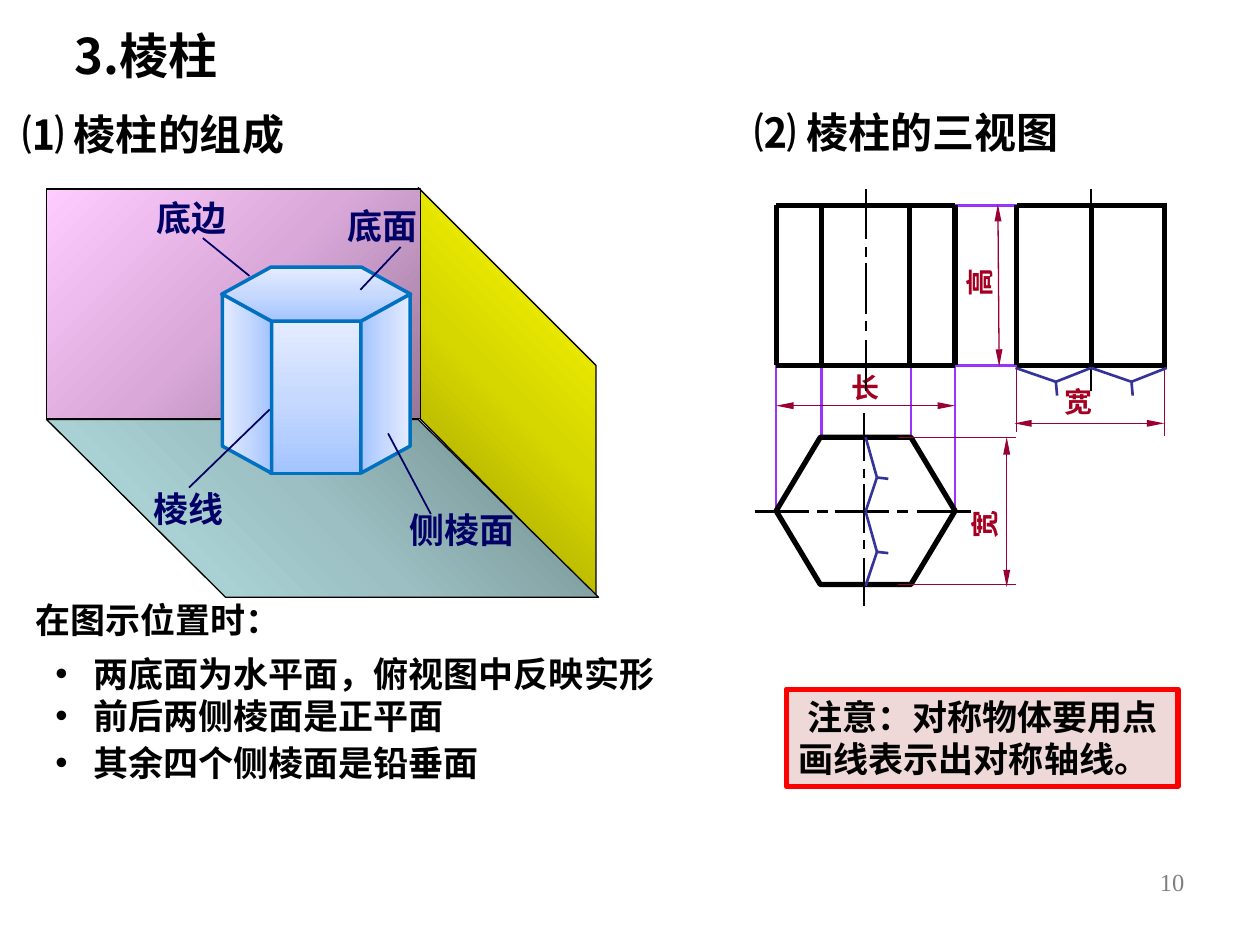
from copy import deepcopy
from dataclasses import dataclass

from lxml.etree import SubElement
from pptx import Presentation
from pptx.dml.color import RGBColor
from pptx.enum.shapes import MSO_CONNECTOR, MSO_SHAPE
from pptx.enum.text import MSO_ANCHOR, MSO_AUTO_SIZE, PP_ALIGN
from pptx.oxml.ns import qn
from pptx.util import Cm, Pt


@dataclass(frozen=True)
class Theme:
    font: str = "Noto Sans CJK SC"
    number_font: str = "Times New Roman"
    ink: str = "000000"
    label: str = "000066"
    edge: str = "0070C0"
    projection: str = "9933FF"
    dimension: str = "990033"
    dimension_text: str = "A50021"
    mark: str = "333399"
    grey: str = "808080"
    note_fill: str = "EED8D8"
    note_line: str = "FF0000"
    yellow: tuple = ("979700", "D7D700", "FFFF00")
    teal: tuple = ("6D8688", "9BBFC2", "B8E3E6")
    pink: tuple = ("997799", "DAA9DA", "FFCCFF")
    blue: tuple = ("A3C4FF", "C7D9FF", "E4ECFF")
    title_size: int = 28
    heading_size: int = 24
    body_size: int = 20
    dimension_size: int = 16
    number_size: int = 14
    thin: float = 0.75
    leader: float = 1
    axis: float = 1.2
    medium: float = 1.5
    solid: float = 2
    thick: float = 3


def inches(value):
    return Cm(value * 2.54)


def assign(target, values):
    for name, value in values.items():
        setattr(target, name, value)


class SlideBuilder:
    def __init__(self, slide, theme):
        self.slide = slide
        self.theme = theme

    def place(self, shape, box):
        assign(shape, dict(zip(("left", "top", "width", "height"), map(inches, box))))

    def fill_text(self, shape, lines, size, color=None, font=None, bold=True, wrap=True,
                  anchor=MSO_ANCHOR.TOP, align=PP_ALIGN.LEFT, margin=0, indent=0, gaps=(0,)):
        frame = shape.text_frame
        frame.text = "\n".join(lines)
        assign(frame, {"word_wrap": wrap, "auto_size": MSO_AUTO_SIZE.NONE, "vertical_anchor": anchor})
        for index, paragraph in enumerate(frame.paragraphs):
            assign(paragraph, {"alignment": align, "space_before": Pt(gaps[index])})
            properties = paragraph._p.get_or_add_pPr()
            properties.set("marL", str(inches(margin)))
            properties.set("indent", str(inches(indent)))
            run = paragraph.runs[0]
            assign(run.font, {"name": font or self.theme.font, "size": Pt(size), "bold": bold})
            run.font.color.rgb = RGBColor.from_string(color or self.theme.ink)
            SubElement(run._r.get_or_add_rPr(), qn("a:ea")).set("typeface", font or self.theme.font)

    def placeholder(self, index, box, lines, size, **options):
        shape = self.slide.placeholders[index]
        self.place(shape, box)
        self.fill_text(shape, lines, size, **options)

    def text(self, box, content, size, rotation=0, **options):
        shape = self.slide.shapes.add_textbox(*map(inches, box))
        shape.rotation = rotation
        self.fill_text(shape, [content], size, **options)

    def paint(self, shape, fill, angle, color, width):
        shape.shadow.inherit = False
        if fill is None:
            shape.fill.background()
        elif isinstance(fill, str):
            shape.fill.solid()
            shape.fill.fore_color.rgb = RGBColor.from_string(fill)
        else:
            shape.fill.gradient()
            shape.fill.gradient_angle = angle
            stop_list = shape._element.spPr.find(".//" + qn("a:gsLst"))
            stop_list.insert(1, deepcopy(stop_list[0]))
            for index, stop in enumerate(shape.fill.gradient_stops):
                stop.position = index / 2
                stop.color.rgb = RGBColor.from_string(fill[index])
        shape.line.color.rgb = RGBColor.from_string(color)
        shape.line.width = Pt(width)

    def shape(self, kind, box, color, width, fill=None, angle=90, adjust=None, rotation=0, flip=False):
        shape = self.slide.shapes.add_shape(kind, *map(inches, box))
        self.paint(shape, fill, angle, color, width)
        shape.rotation = rotation
        if adjust is not None:
            shape.adjustments[0] = adjust
        if flip:
            shape._element.spPr.find(qn("a:xfrm")).set("flipV", "1")
        return shape

    def polygon(self, points, color, width, fill, angle):
        corners = [tuple(map(inches, point)) for point in points]
        builder = self.slide.shapes.build_freeform(*corners[0])
        builder.add_line_segments(corners[1:], close=True)
        self.paint(builder.convert_to_shape(), fill, angle, color, width)

    def line(self, ends, color, width, arrows=False):
        connector = self.slide.shapes.add_connector(MSO_CONNECTOR.STRAIGHT, *map(inches, ends))
        connector.line.color.rgb = RGBColor.from_string(color)
        connector.line.width = Pt(width)
        properties = connector._element.spPr
        if arrows:
            for tag in ("a:headEnd", "a:tailEnd"):
                end = SubElement(properties.find(qn("a:ln")), qn(tag))
                for name, value in {"type": "triangle", "w": "sm", "len": "lg"}.items():
                    end.set(name, value)
        SubElement(properties, qn("a:effectLst"))

    def lines(self, group, color, width):
        for ends in group:
            self.line(ends, color, width)

    def axis(self, x, y, length, vertical=True):
        scale = length / 1.6
        for start, end in ((0, 0.4), (0.46, 0.54), (0.59, 0.99), (1.05, 1.13), (1.2, 1.6)):
            start, end = start * scale, end * scale
            ends = (x, y + start, x, y + end) if vertical else (x + start, y, x + end, y)
            self.line(ends, self.theme.ink, self.theme.axis)

    def mark(self, start, peak, finish, tip):
        for first, second in ((start, peak), (peak, finish), (peak, tip)):
            self.line((*first, *second), self.theme.mark, self.theme.medium)


def draw_prism(builder, theme):
    builder.polygon(((3.32, 3.31), (4.73, 4.73), (4.73, 2.9), (3.32, 1.49)),
                    theme.ink, theme.thin, theme.yellow, 45)
    builder.polygon(((0.37, 3.33), (3.32, 3.33), (4.75, 4.74), (1.79, 4.74)),
                    theme.ink, theme.thin, theme.teal, 225)
    builder.shape(MSO_SHAPE.RECTANGLE, (0.37, 1.5, 2.97, 1.82), theme.ink, theme.thin, theme.pink, 135)
    for kind, box, options in (
        (MSO_SHAPE.HEXAGON, (1.76, 2.12, 1.5, 0.43), {"adjust": 0.91}),
        (MSO_SHAPE.RECTANGLE, (2.15, 2.55, 0.71, 1.21), {}),
        (MSO_SHAPE.PARALLELOGRAM, (1.25, 2.85, 1.42, 0.39), {"adjust": 0.55, "rotation": 270}),
        (MSO_SHAPE.PARALLELOGRAM, (2.35, 2.85, 1.42, 0.39), {"adjust": 0.55, "rotation": 270, "flip": True}),
    ):
        builder.shape(kind, box, theme.edge, theme.solid, theme.blue, **options)
    for content, box, align, leader in (
        ("侧棱面", (3.15, 3.99, 1.55, 0.44), PP_ALIGN.LEFT, (3.42, 4.08, 3.08, 3.44)),
        ("底面", (2.66, 1.57, 1.17, 0.44), PP_ALIGN.LEFT, (3.18, 1.96, 2.86, 2.3)),
        ("棱线", (1.12, 3.82, 1.17, 0.44), PP_ALIGN.LEFT, (2.14, 3.25, 1.5, 3.87)),
        ("底边", (0.74, 1.51, 1.16, 0.44), PP_ALIGN.RIGHT, (1.61, 1.89, 1.98, 2.19)),
    ):
        builder.text(box, content, theme.body_size, color=theme.label, align=align)
        builder.line(leader, theme.label, theme.leader)


def draw_views(builder, theme):
    top, bottom = 1.63, 2.9
    left, right = 6.16, 7.58
    side_left, side_middle, side_right = 8.07, 8.66, 9.24
    plan_top, plan_middle, plan_bottom = 3.47, 4.06, 4.64

    builder.lines([(x, 1.64, x, end) for x, end in ((side_left, 3.43), (side_right, 3.46))],
                  theme.dimension, theme.thin)
    builder.lines([(right, y, side_right, y) for y in (top, bottom)]
                  + [(x, 4.03, x, bottom) for x in (left, right)]
                  + [(x, plan_top, x, bottom) for x in (6.52, 7.23)], theme.projection, theme.medium)
    builder.shape(MSO_SHAPE.HEXAGON, (left, plan_top, 1.42, 1.17), theme.ink, theme.thick, adjust=0.3)
    builder.lines([(x, top, x, bottom)
                   for x in (left, 6.52, 7.22, right, side_left, side_middle, side_right)]
                  + [(start, y, end, y) for start, end in ((left, right), (side_left, 9.26))
                     for y in (top, bottom)], theme.ink, theme.thick)
    builder.lines([(7.13, y, 8.06, y) for y in (plan_top, plan_bottom)], theme.dimension, theme.thin)
    for content, box, rotation, ends in (
        ("宽", (8.35, 3, 0.43, 0.41), 0, (side_right, 3.36, 8.05, 3.36)),
        ("长", (6.66, 2.89, 0.43, 0.37), 0, (left, 3.22, right, 3.22)),
        ("高", (7.56, 2.05, 0.43, 0.37), 270, (7.92, 1.62, 7.93, 2.91)),
        ("宽", (7.6, 3.97, 0.43, 0.37), 270, (7.99, plan_top, 7.99, 4.66)),
    ):
        builder.line(ends, theme.dimension, theme.thin, arrows=True)
        builder.text(box, content, theme.dimension_size, rotation, color=theme.dimension_text, wrap=False)

    builder.axis(6.87, 1.5, 1.6)
    builder.axis(5.99, plan_middle, 1.72, vertical=False)
    builder.axis(6.86, 3.28, 1.53)
    builder.axis(side_middle, 1.5, 1.6)
    for y in (plan_top, plan_middle):
        builder.mark((6.87, y), (6.96, y + 0.32), (6.87, y + 0.59), (7.05, y + 0.33))
    for x in (8.06, side_middle):
        builder.mark((x, 2.92), (x + 0.32, 3.03), (x + 0.6, 2.92), (x + 0.33, 3.14))


def main():
    theme = Theme()
    presentation = Presentation()
    assign(presentation, {"slide_width": Cm(25.4), "slide_height": Cm(19.05)})
    builder = SlideBuilder(presentation.slides.add_slide(presentation.slide_layouts[1]), theme)
    builder.placeholder(0, (0.49, 0.15, 1.94, 0.57), ["3.棱柱"], theme.title_size)
    builder.placeholder(1, (0.34, 5.13, 5.2, 1.28),
                        ["两底面为水平面，俯视图中反映实形", "前后两侧棱面是正平面", "其余四个侧棱面是铅垂面"],
                        theme.body_size, margin=0.3, indent=-0.3, gaps=(0, 0, 3))
    builder.text((0.08, 0.81, 3.55, 0.5), "⑴ 棱柱的组成", theme.heading_size, anchor=MSO_ANCHOR.MIDDLE)
    builder.text((5.89, 0.8, 4.09, 0.5), "⑵ 棱柱的三视图", theme.heading_size)
    draw_prism(builder, theme)
    draw_views(builder, theme)
    builder.text((0.18, 4.7, 2.13, 0.44), "在图示位置时：", theme.body_size, anchor=MSO_ANCHOR.MIDDLE)
    note = builder.shape(MSO_SHAPE.RECTANGLE, (6.24, 5.47, 3.11, 0.77),
                         theme.note_line, theme.thick, theme.note_fill)
    builder.fill_text(note, ["注意：对称物体要用点画线表示出对称轴线。"], theme.body_size,
                      anchor=MSO_ANCHOR.MIDDLE, indent=0.07)
    builder.text((7.17, 6.83, 2.33, 0.52), "10", theme.number_size, color=theme.grey,
                 font=theme.number_font, bold=False, align=PP_ALIGN.RIGHT)
    presentation.save("out.pptx")


if __name__ == "__main__":
    main()
